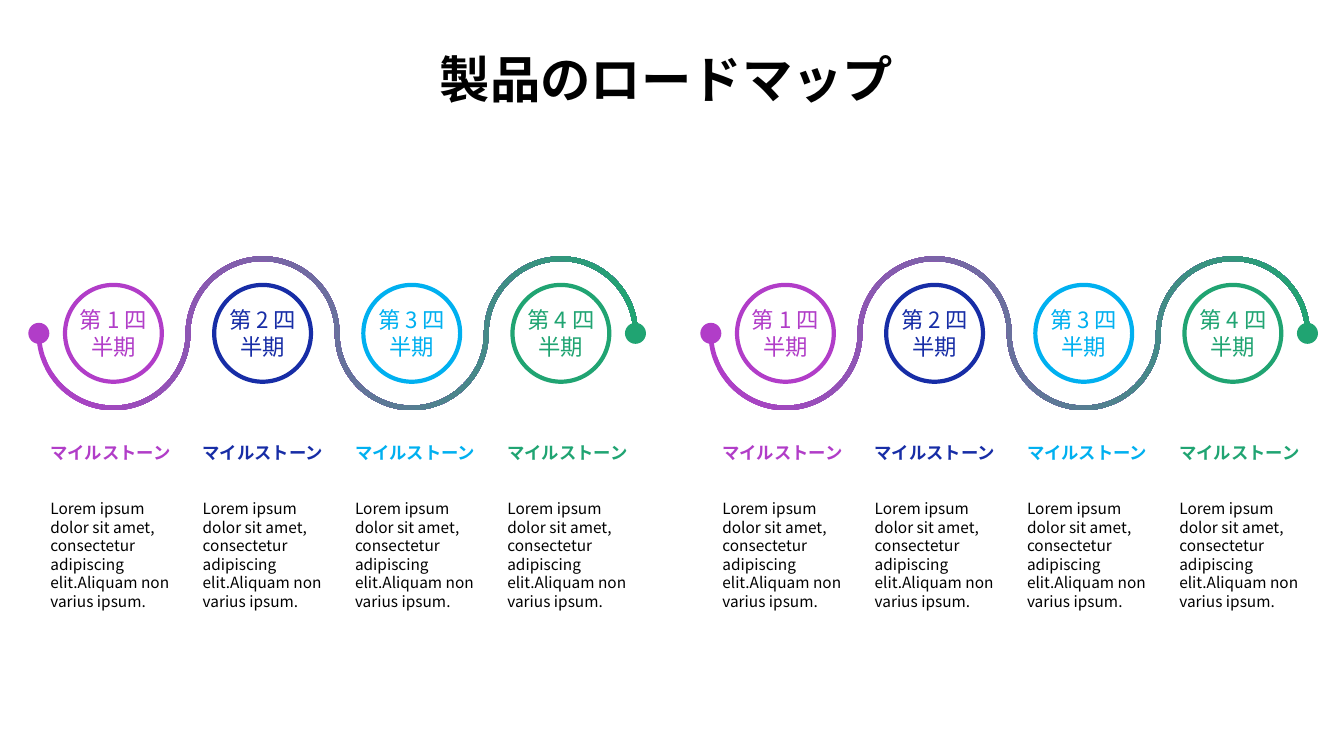
from lxml.etree import SubElement
from pptx import Presentation
from pptx.dml.color import RGBColor
from pptx.enum.shapes import MSO_SHAPE as Preset
from pptx.enum.text import MSO_ANCHOR as Anchor, MSO_AUTO_SIZE as AutoSize, PP_ALIGN as Align
from pptx.oxml.ns import qn
from pptx.util import Cm, Pt

TITLE = "製品のロードマップ"
MILESTONE = "マイルストーン"
DETAIL = "Lorem ipsum dolor sit amet, consectetur adipiscing elit.Aliquam non varius ipsum."
QUARTERS = [
    ("第 1 四半期", "B13DC8"),
    ("第 2 四半期", "172DA6"),
    ("第 3 四半期", "00B0F0"),
    ("第 4 四半期", "20A472"),
]
FONT = "Noto Sans CJK JP"
BLACK, WHITE = "000000", "FFFFFF"

ROADMAP_LEFTS = (0, 16.94)
WAVE_START, WAVE_Y = 0.98, 8.4
QUARTER_PITCH, RIBBON_WIDTH = 3.76, 0.12
CIRCLE_SIZE, DOT_SIZE = 2.44, 0.53
COLUMN_LEFT, COLUMN_PITCH, COLUMN_WIDTH = 1.27, 3.84, 3.28
MILESTONE_TOP, MILESTONE_HEIGHT = 11.15, 0.84
DETAIL_TOP, DETAIL_HEIGHT = 12.46, 3.28
ROUNDNESS = 0.55
QUARTER_TURNS = [
    ((-1, ROUNDNESS), (-ROUNDNESS, 1), (0, 1)),
    ((ROUNDNESS, 1), (1, ROUNDNESS), (1, 0)),
]

INSETS = {"margin_left": 0, "margin_right": 0, "margin_top": Cm(0.13), "margin_bottom": Cm(0.13)}
TITLE_FRAME = {"vertical_anchor": Anchor.TOP, "auto_size": AutoSize.NONE, "word_wrap": True}
COLUMN_FRAME = {**INSETS, **TITLE_FRAME}
CIRCLE_FRAME = {**INSETS, "vertical_anchor": Anchor.MIDDLE, "word_wrap": True}
TITLE_PARAGRAPH = {"alignment": Align.CENTER, "line_spacing": 0.9, "space_before": Pt(0)}
CIRCLE_PARAGRAPH = {"alignment": Align.CENTER}
MILESTONE_PARAGRAPH = {"alignment": Align.LEFT, "line_spacing": 0.7}
DETAIL_PARAGRAPH = {"alignment": Align.LEFT}


def rgb(color):
    return RGBColor.from_string(color)


def apply(target, formats):
    for attribute, value in formats.items():
        setattr(target, attribute, value)


def write(shape, text, size, color, frame_format, paragraph_format, bold=False):
    frame = shape.text_frame
    apply(frame, frame_format)
    paragraph = frame.paragraphs[0]
    apply(paragraph, paragraph_format)
    run = paragraph.add_run()
    run.text = text
    apply(run.font, {"name": FONT, "size": Pt(size), "bold": bold})
    run.font.color.rgb = rgb(color)
    SubElement(run.font._element, qn("a:ea"), typeface=FONT)


def add_disc(shapes, center_x, size, fill, outline=None):
    disc = shapes.add_shape(
        Preset.OVAL, Cm(center_x - size / 2), Cm(WAVE_Y - size / 2), Cm(size), Cm(size)
    )
    disc.shadow.inherit = False
    disc.fill.solid()
    disc.fill.fore_color.rgb = rgb(fill)
    if outline:
        disc.line.color.rgb = rgb(outline)
        disc.line.width = Pt(3)
    else:
        disc.line.fill.background()
    return disc


def wave_edge(start, offset):
    points = [(Cm(start - offset), Cm(WAVE_Y))]
    for quarter in range(len(QUARTERS)):
        direction = 1 if quarter % 2 == 0 else -1
        center = start + (quarter + 0.5) * QUARTER_PITCH
        radius = QUARTER_PITCH / 2 + direction * offset
        for turn in QUARTER_TURNS:
            for x, y in turn:
                points.append((Cm(center + radius * x), Cm(WAVE_Y + direction * radius * y)))
    return points


def curve(segments):
    for first in range(0, len(segments), 3):
        bezier = segments[first].makeelement(qn("a:cubicBezTo"))
        segments[first].addprevious(bezier)
        for segment in segments[first:first + 3]:
            bezier.append(segment[0])
            segment.getparent().remove(segment)


def add_ribbon(shapes, start):
    upper = wave_edge(start, -RIBBON_WIDTH / 2)
    lower = wave_edge(start, RIBBON_WIDTH / 2)
    builder = shapes.build_freeform(*upper[0], scale=1.0)
    builder.add_line_segments(upper[1:] + lower[::-1], close=True)
    ribbon = builder.convert_to_shape()
    segments = list(ribbon._element.iter(qn("a:lnTo")))
    edge_length = len(upper) - 1
    curve(segments[:edge_length])
    curve(segments[edge_length + 1:2 * edge_length + 1])
    ribbon.shadow.inherit = False
    ribbon.line.fill.background()
    ribbon.fill.gradient()
    ribbon.fill.gradient_angle = 0
    for stop, (_, color) in zip(ribbon.fill.gradient_stops, (QUARTERS[0], QUARTERS[-1])):
        stop.color.rgb = rgb(color)


def add_wave(shapes, left):
    start = left + WAVE_START
    add_ribbon(shapes, start)
    for index, (quarter, color) in enumerate(QUARTERS):
        circle = add_disc(shapes, start + (index + 0.5) * QUARTER_PITCH, CIRCLE_SIZE, WHITE, color)
        write(circle, quarter, 16, color, CIRCLE_FRAME, CIRCLE_PARAGRAPH)
    add_disc(shapes, start, DOT_SIZE, QUARTERS[0][1])
    add_disc(shapes, start + len(QUARTERS) * QUARTER_PITCH, DOT_SIZE, QUARTERS[-1][1])


def add_columns(shapes, left):
    for index, (_, color) in enumerate(QUARTERS):
        column = Cm(left + COLUMN_LEFT + index * COLUMN_PITCH)
        milestone = shapes.add_textbox(
            column, Cm(MILESTONE_TOP), Cm(COLUMN_WIDTH), Cm(MILESTONE_HEIGHT)
        )
        write(milestone, MILESTONE, 12.4, color, COLUMN_FRAME, MILESTONE_PARAGRAPH, bold=True)
        detail = shapes.add_textbox(column, Cm(DETAIL_TOP), Cm(COLUMN_WIDTH), Cm(DETAIL_HEIGHT))
        write(detail, DETAIL, 11, BLACK, COLUMN_FRAME, DETAIL_PARAGRAPH)


def main():
    deck = Presentation()
    apply(deck, {"slide_width": Cm(33.88), "slide_height": Cm(19.05)})
    slide = deck.slides.add_slide(deck.slide_layouts[5])
    title = slide.shapes.title
    apply(title, {"left": Cm(0.5), "top": Cm(1.27), "width": Cm(32.6), "height": Cm(1.75)})
    write(title, TITLE, 36, BLACK, TITLE_FRAME, TITLE_PARAGRAPH, bold=True)
    for add_part in (add_wave, add_columns):
        for left in ROADMAP_LEFTS:
            add_part(slide.shapes, left)
    deck.save("out.pptx")


if __name__ == "__main__":
    main()
